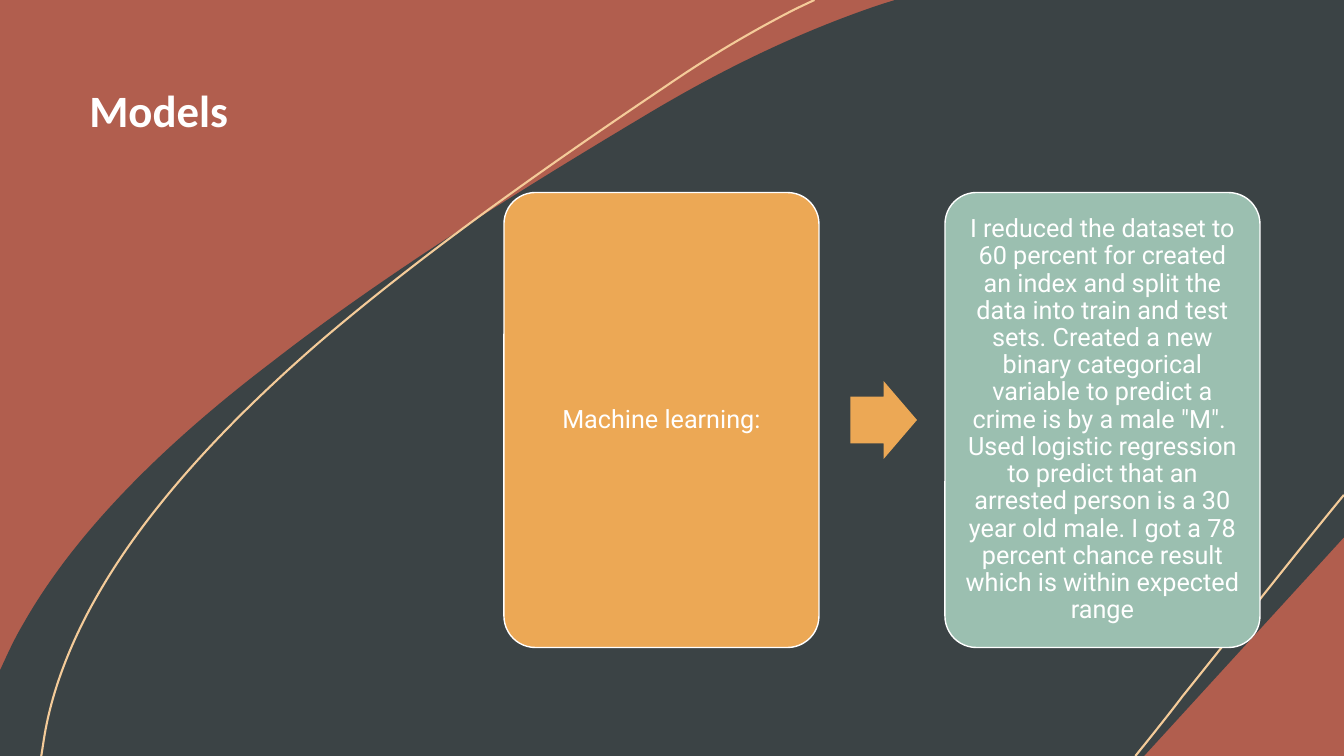
from dataclasses import dataclass

from lxml.etree import SubElement
from pptx import Presentation
from pptx.dml.color import RGBColor as Color
from pptx.enum.shapes import MSO_SHAPE as Preset
from pptx.enum.text import MSO_ANCHOR as Anchor, PP_ALIGN as Align
from pptx.oxml.ns import qn
from pptx.util import Pt


@dataclass(frozen=True)
class Theme:
    rust: Color = Color.from_string("B15E4E")
    slate: Color = Color.from_string("3B4345")
    cream: Color = Color.from_string("F4CB99")
    amber: Color = Color.from_string("ECA855")
    sage: Color = Color.from_string("9BBFB0")
    white: Color = Color.from_string("FFFFFF")
    title_font: str = "Calibri"
    body_font: str = "Roboto"
    title_size: int = 32
    body_size: int = 18
    thread: float = 1.5
    outline: float = 1


THEME = Theme()
WIDTH, HEIGHT = 960, 540

FIELD = [
    [(639.4, 0)], [(WIDTH, 0)], [(WIDTH, 383.8)], [(817.2, HEIGHT)],
    [(0, HEIGHT)], [(0, 478.8)],
    [(5, 468), (10.1, 456.5), (16.6, 445.7)],
    [(53.3, 380.9), (115.9, 318.2), (194.4, 258.5)],
    [(272.2, 198), (365, 139.7), (461.5, 82.1)],
    [(522.7, 45.4), (578.2, 20.2), (630, 2.9)],
]
LONG_THREAD = [
    [(29.5, HEIGHT)], [(31, 530.6)],
    [(35.3, 501.1), (45.4, 472.3), (59.8, 443.5)],
    [(94.3, 375.1), (153.4, 309.6), (226.1, 246.2)],
    [(298.8, 183.6), (385.2, 122.4), (475.2, 61.9)],
    [(507.6, 39.6), (538.6, 21.6), (568.1, 6.5)],
    [(581.8, 0)],
]
CORNER_THREAD = [
    [(WIDTH, 353.5)],
    [(921.6, 400.3), (883.4, 449.3), (844.6, 497.5)],
    [(833.8, 511.9), (811, HEIGHT), (811, HEIGHT)],
]

STEPS = [
    ("Machine learning:", THEME.amber),
    (
        "I reduced the dataset to 60 percent for created an index and split "
        "the data into train and test sets. Created a new binary categorical "
        "variable to predict a crime is by a male \"M\".  Used logistic "
        "regression to predict that an arrested person is a 30 year old male. "
        "I got a 78 percent chance result which is within expected range",
        THEME.sage,
    ),
]


def paint(shape, fill=None, line=None, weight=THEME.outline):
    shape.shadow.inherit = False
    if fill is None:
        shape.fill.background()
    else:
        shape.fill.solid()
        shape.fill.fore_color.rgb = fill
    if line is None:
        shape.line.fill.background()
    else:
        shape.line.color.rgb = line
        shape.line.width = Pt(weight)


def add_outline(page, left, top, segments, closed):
    placed = [[(Pt(left + x), Pt(top + y)) for x, y in part] for part in segments]
    ends = [part[-1] for part in placed]
    builder = page.shapes.build_freeform(*ends[0])
    builder.add_line_segments(ends[1:], close=closed)
    shape = builder.convert_to_shape()
    sides = list(shape.element.iter(qn("a:lnTo")))
    for side, part in zip(sides, placed[1:]):
        if len(part) == 3:
            side.getparent().replace(side, bend(side, part, shape))
    return shape


def bend(side, points, shape):
    curve = side.makeelement(qn("a:cubicBezTo"))
    for x, y in points:
        point = SubElement(curve, qn("a:pt"))
        point.set("x", str(x - shape.left))
        point.set("y", str(y - shape.top))
    return curve


def add_backdrop(page, left, top):
    page.background.fill.solid()
    page.background.fill.fore_color.rgb = THEME.rust
    paint(add_outline(page, left, top, FIELD, True), fill=THEME.slate)
    for thread in (LONG_THREAD, CORNER_THREAD):
        shape = add_outline(page, left, top, thread, False)
        paint(shape, line=THEME.cream, weight=THEME.thread)


def style_text(para, text, font, size):
    para.text = text
    para.line_spacing = 0.9
    para.font.name = font
    para.font.size = Pt(size)
    para.font.color.rgb = THEME.white


def add_title(page, left, top, width, height, text):
    box = page.shapes.add_textbox(Pt(left), Pt(top), Pt(width), Pt(height))
    box.text_frame.word_wrap = True
    para = box.text_frame.paragraphs[0]
    style_text(para, text, THEME.title_font, THEME.title_size)
    para.font.bold = True


def add_card(page, left, top, width, height, text, fill):
    card = page.shapes.add_shape(
        Preset.ROUNDED_RECTANGLE, Pt(left), Pt(top), Pt(width), Pt(height))
    card.adjustments[0] = 0.1
    paint(card, fill, THEME.white)
    frame = card.text_frame
    frame.word_wrap = True
    frame.vertical_anchor = Anchor.MIDDLE
    frame.margin_left = frame.margin_right = Pt(7)
    frame.margin_top = frame.margin_bottom = Pt(5)
    para = frame.paragraphs[0]
    style_text(para, text, THEME.body_font, THEME.body_size)
    para.alignment = Align.CENTER


def add_process(page, left, top, width, height, steps):
    card_width, arrow_width, arrow_height, arrow_gap = 225, 47.6, 55.6, 22.4
    pitch = (width - card_width) / (len(steps) - 1)
    for index, (text, fill) in enumerate(steps):
        card_left = left + index * pitch
        if index:
            arrow = page.shapes.add_shape(
                Preset.RIGHT_ARROW,
                Pt(card_left - pitch + card_width + arrow_gap),
                Pt(top + (height - arrow_height) / 2),
                Pt(arrow_width), Pt(arrow_height))
            arrow.adjustments[0] = 0.6
            arrow.adjustments[1] = 0.5
            paint(arrow, THEME.amber)
        add_card(page, card_left, top, card_width, height, text, fill)


def main():
    deck = Presentation()
    deck.slide_width, deck.slide_height = Pt(WIDTH), Pt(HEIGHT)
    page = deck.slides.add_slide(deck.slide_layouts[6])
    add_backdrop(page, 0, 0)
    add_title(page, 56.7, 60, 240, 180, "Models")
    add_process(page, 360, 137.5, 540, 325, STEPS)
    deck.save("out.pptx")


if __name__ == "__main__":
    main()
